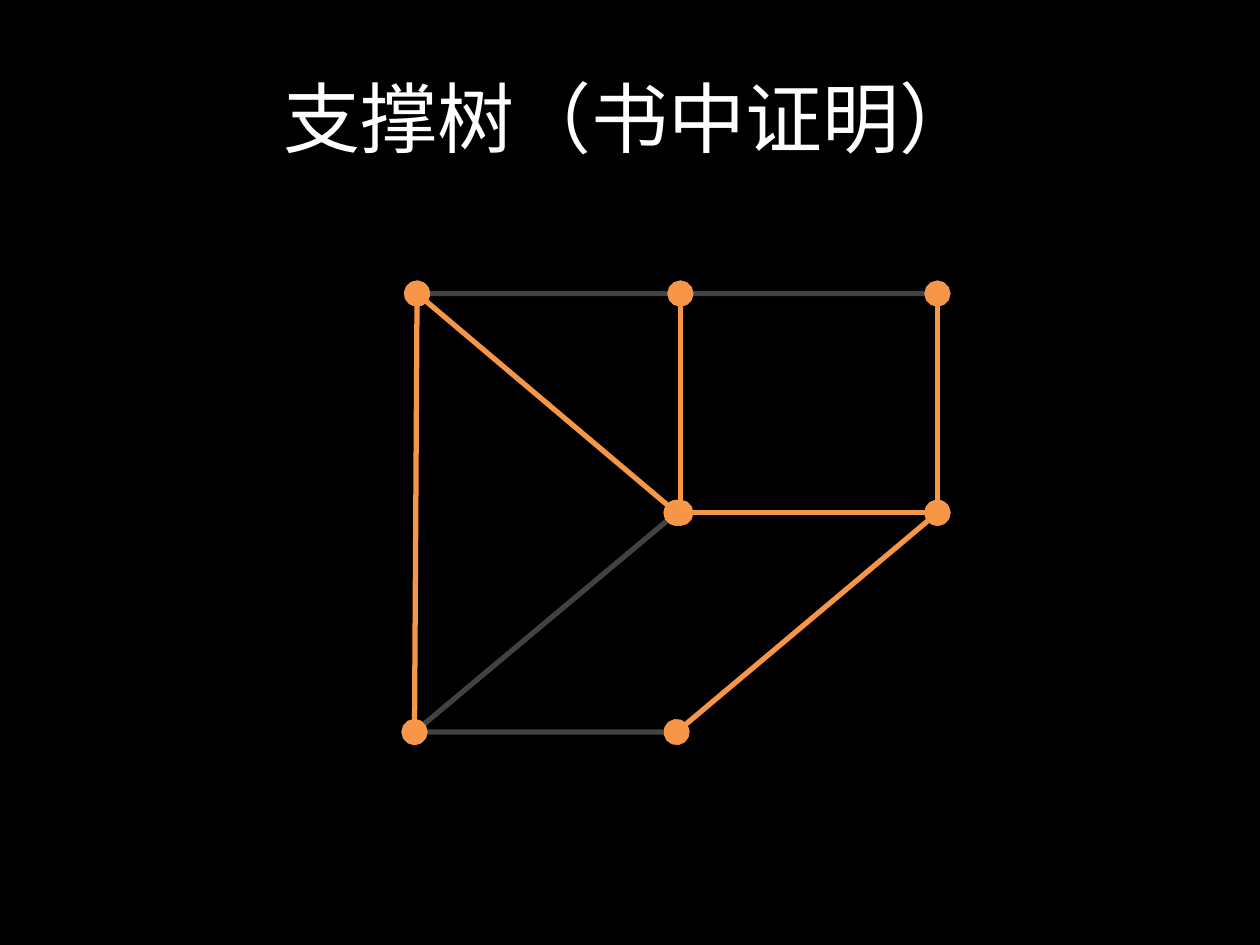
"""Build a slide showing a spanning tree highlighted inside a graph."""
from lxml import etree
from pptx import Presentation
from pptx.dml.color import RGBColor
from pptx.enum.shapes import MSO_CONNECTOR
from pptx.enum.text import MSO_ANCHOR, PP_ALIGN
from pptx.oxml.ns import qn
from pptx.util import Inches, Pt

STRAIGHT = MSO_CONNECTOR.STRAIGHT
MIDDLE = MSO_ANCHOR.MIDDLE
CENTER = PP_ALIGN.CENTER
BLACK = RGBColor(0x00, 0x00, 0x00)
WHITE = RGBColor(0xFF, 0xFF, 0xFF)
ORANGE = RGBColor(0xF7, 0x96, 0x46)
FONT = "Noto Sans CJK SC"

TITLE = "支撑树（书中证明）"
TOP, MID, BOTTOM = 2.33, 4.07, 5.81
NODES = {
    "top_left": (3.31, TOP),
    "top_mid": (5.4, TOP),
    "top_right": (7.44, TOP),
    "center": (5.37, MID),
    "center_top": (5.4, MID),
    "right": (7.44, MID),
    "bottom_left": (3.29, BOTTOM),
    "bottom_mid": (5.37, BOTTOM),
}
EDGES = [
    ("bottom_left", "bottom_mid", False),
    ("top_left", "top_mid", False),
    ("top_mid", "top_right", False),
    ("right", "top_right", True),
    ("bottom_mid", "right", True),
    ("center", "right", True),
    ("center_top", "top_mid", True),
    ("bottom_left", "center", False),
    ("bottom_left", "top_left", True),
    ("top_left", "center", True),
]


def add_title(slide, text):
    box = slide.shapes.add_textbox(Inches(0.5), Inches(0.3), Inches(9), Inches(1.25))
    tf = box.text_frame
    tf.word_wrap = True
    tf.vertical_anchor = MIDDLE
    p = tf.paragraphs[0]
    p.alignment = CENTER
    r = p.add_run()
    r.text = text
    r.font.name = FONT
    r.font.size = Pt(44)
    r.font.color.rgb = WHITE
    etree.SubElement(r.font._element, qn("a:ea"), typeface=FONT)


def add_edge(slide, start, end, in_tree):
    points = [Inches(v) for v in (*NODES[start], *NODES[end])]
    edge = slide.shapes.add_connector(STRAIGHT, *points)
    edge.line.width = Pt(3)
    edge.line.color.rgb = ORANGE if in_tree else WHITE
    sp_pr = edge._element.spPr
    ln = sp_pr.find(qn("a:ln"))
    if not in_tree:
        color = ln.find(".//" + qn("a:srgbClr"))
        etree.SubElement(color, qn("a:alpha"), val="25000")
    for tag in ("a:headEnd", "a:tailEnd"):
        etree.SubElement(ln, qn(tag), type="oval", w="lg", len="lg")
    etree.SubElement(sp_pr, qn("a:effectLst"))


prs = Presentation()
prs.slide_width, prs.slide_height = Inches(10), Inches(7.5)
s = prs.slides.add_slide(prs.slide_layouts[6])
s.background.fill.solid()
s.background.fill.fore_color.rgb = BLACK
add_title(s, TITLE)
for start, end, in_tree in EDGES:
    add_edge(s, start, end, in_tree)
prs.save("out.pptx")
